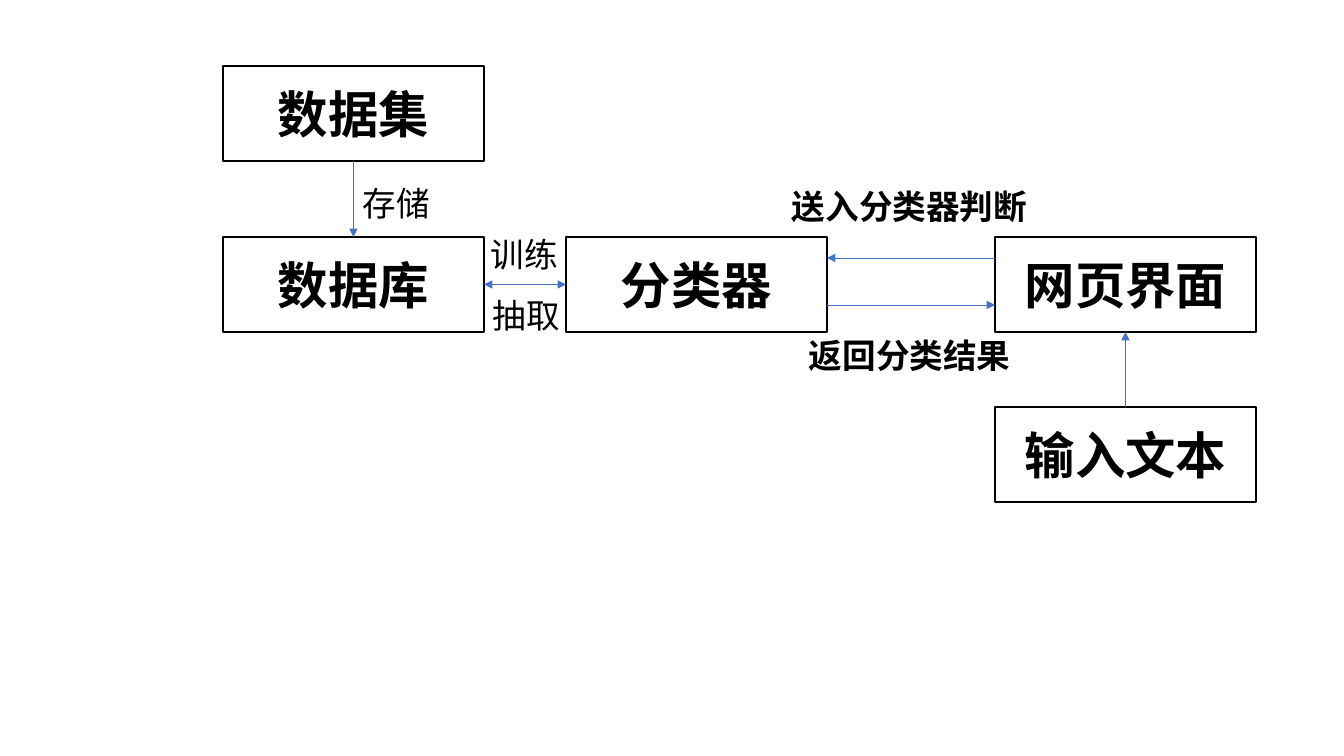
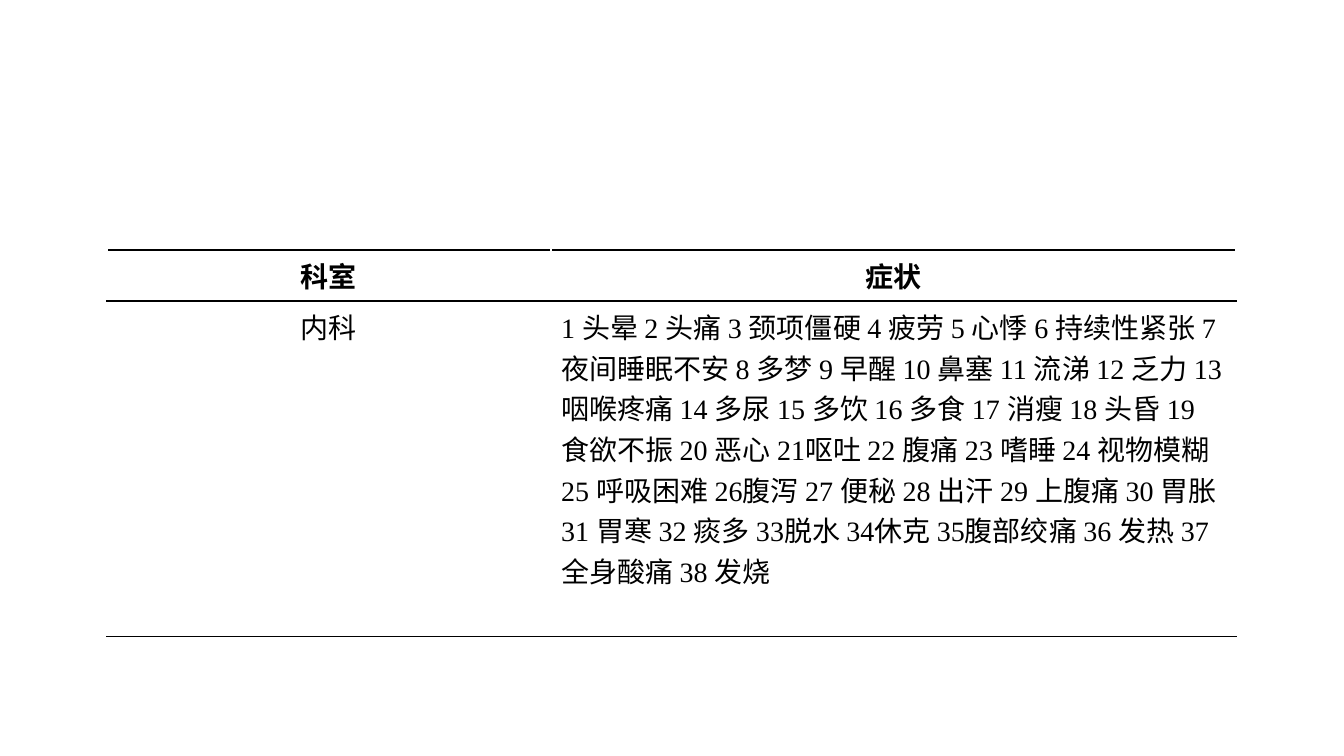
from dataclasses import dataclass

from lxml.etree import SubElement
from pptx import Presentation
from pptx.dml.color import RGBColor as Rgb
from pptx.enum.shapes import MSO_CONNECTOR as Connector, MSO_SHAPE as Shape
from pptx.enum.text import MSO_ANCHOR as Anchor, MSO_AUTO_SIZE as AutoSize, PP_ALIGN as Align
from pptx.oxml.ns import qn
from pptx.util import Emu, Pt

SCALE = 914400 / 100.8  # EMU per pixel
BLANK_LAYOUT = 6
TOP, LEFT, BOTTOM, RIGHT = range(4)  # connection sites of a box


@dataclass(frozen=True)
class Theme:
    ink: str = "000000"
    paper: str = "FFFFFF"
    arrow: str = "4472C4"
    cjk_font: str = "Noto Sans CJK SC"
    table_font: str = "Times New Roman"
    box_size: int = 36
    label_size: int = 24
    table_size: int = 20
    rule: float = 1
    arrow_width: float = 0.5


THEME = Theme()

BOX_WIDTH, BOX_HEIGHT = 261, 95
STORE_X, MODEL_X, WEB_X = 223, 566, 995
UPPER_Y, MIDDLE_Y, LOWER_Y = 66, 237, 407

BOXES = {
    "数据库": (STORE_X, MIDDLE_Y),
    "数据集": (STORE_X, UPPER_Y),
    "分类器": (MODEL_X, MIDDLE_Y),
    "网页界面": (WEB_X, MIDDLE_Y),
    "输入文本": (WEB_X, LOWER_Y),
}

# text, left, top, width, bold
LABELS = [
    ("存储", 353, 178, 89, False),
    ("训练", 481, 229, 89, False),
    ("抽取", 483, 290, 89, False),
    ("送入分类器判断", 782, 181, 258, True),
    ("返回分类结果", 799, 330, 224, True),
]
LABEL_HEIGHT = 50

TABLE_LEFT, TABLE_TOP = 107, 250
COLUMN_WIDTHS = [444, 685]
ROW_HEIGHTS = [51, 215]
SYMPTOMS = (
    "1 头晕 2 头痛 3 颈项僵硬 4 疲劳 5 心悸 6 持续性紧张 7 夜间睡眠不安 8 多梦 9 早醒 "
    "10 鼻塞 11 流涕 12 乏力 13 咽喉疼痛 14 多尿 15 多饮 16 多食 17 消瘦 18 头昏 "
    "19 食欲不振 20 恶心 21呕吐 22 腹痛 23 嗜睡 24 视物模糊 25 呼吸困难 26腹泻 27 便秘 "
    "28 出汗 29 上腹痛 30 胃胀 31 胃寒 32 痰多 33脱水 34休克 35腹部绞痛 36 发热 "
    "37 全身酸痛 38 发烧"
)
ROWS = [["科室", "症状"], ["内科", SYMPTOMS]]


def px(*lengths):
    return [Emu(round(length * SCALE)) for length in lengths]


def write(frame, text, *, size, font=THEME.cjk_font, bold=False, align=Align.LEFT):
    para = frame.paragraphs[0]
    para.alignment = align
    span = para.add_run()
    span.text = text
    span.font.size = Pt(size)
    span.font.bold = bold
    span.font.name = font
    span.font.color.rgb = Rgb.from_string(THEME.ink)
    SubElement(span.font._element, qn("a:ea"), typeface=THEME.cjk_font)


def add_box(page, text, left, top):
    box = page.shapes.add_shape(Shape.FLOWCHART_PROCESS, *px(left, top, BOX_WIDTH, BOX_HEIGHT))
    box.shadow.inherit = False
    box.fill.solid()
    box.fill.fore_color.rgb = Rgb.from_string(THEME.paper)
    box.line.color.rgb = Rgb.from_string(THEME.ink)
    box.line.width = Pt(THEME.rule)
    box.text_frame.vertical_anchor = Anchor.MIDDLE
    write(box.text_frame, text, size=THEME.box_size, bold=True, align=Align.CENTER)
    return box


def add_label(page, text, left, top, width, bold):
    frame = page.shapes.add_textbox(*px(left, top, width, LABEL_HEIGHT)).text_frame
    frame.word_wrap = False
    frame.auto_size = AutoSize.SHAPE_TO_FIT_TEXT
    write(frame, text, size=THEME.label_size, bold=bold)


def add_arrow(page, start=(0, 0), end=(0, 0), both_ends=False):
    arrow = page.shapes.add_connector(Connector.STRAIGHT, *px(*start, *end))
    arrow.line.color.rgb = Rgb.from_string(THEME.arrow)
    arrow.line.width = Pt(THEME.arrow_width)
    properties = arrow.element.spPr
    line = properties.find(qn("a:ln"))
    for end_tag in ["a:headEnd", "a:tailEnd"] if both_ends else ["a:tailEnd"]:
        SubElement(line, qn(end_tag), type="triangle")
    SubElement(properties, qn("a:effectLst"))
    return arrow


def link(page, source, source_site, target, target_site, both_ends=False):
    arrow = add_arrow(page, both_ends=both_ends)
    arrow.begin_connect(source, source_site)
    arrow.end_connect(target, target_site)


def rule_cell(cell):
    """Draw the rules above and below a cell."""
    properties = cell._tc.get_or_add_tcPr()
    for side in ("a:lnT", "a:lnB"):
        line = SubElement(properties, qn(side), w=str(Pt(THEME.rule)))
        fill = SubElement(line, qn("a:solidFill"))
        SubElement(fill, qn("a:srgbClr"), val=THEME.ink)


def add_ruled_table(page, rows):
    table = page.shapes.add_table(
        len(rows), len(rows[0]),
        *px(TABLE_LEFT, TABLE_TOP, sum(COLUMN_WIDTHS), sum(ROW_HEIGHTS)),
    ).table
    table.first_row = table.horz_banding = False
    for column, width in zip(table.columns, px(*COLUMN_WIDTHS)):
        column.width = width
    for row, height in zip(table.rows, px(*ROW_HEIGHTS)):
        row.height = height
    for r, texts in enumerate(rows):
        for c, text in enumerate(texts):
            cell = table.cell(r, c)
            rule_cell(cell)
            cell.fill.solid()
            cell.fill.fore_color.rgb = Rgb.from_string(THEME.paper)
            is_list = r > 0 and c > 0
            write(cell.text_frame, text, size=THEME.table_size, font=THEME.table_font,
                  bold=r == 0, align=Align.LEFT if is_list else Align.CENTER)


def build_flow(page):
    # Boxes
    boxes = {text: add_box(page, text, *place) for text, place in BOXES.items()}

    # Arrows between box sides
    link(page, boxes["数据集"], BOTTOM, boxes["数据库"], TOP)
    link(page, boxes["输入文本"], TOP, boxes["网页界面"], BOTTOM)
    link(page, boxes["数据库"], RIGHT, boxes["分类器"], LEFT, both_ends=True)

    # Request and reply
    model_edge = MODEL_X + BOX_WIDTH
    add_arrow(page, (WEB_X, 258), (model_edge, 258))
    add_arrow(page, (model_edge, 305), (WEB_X, 305))

    # Labels
    for label in LABELS:
        add_label(page, *label)


def main():
    deck = Presentation()
    deck.slide_width, deck.slide_height = px(1344, 756)
    layout = deck.slide_layouts[BLANK_LAYOUT]
    build_flow(deck.slides.add_slide(layout))
    add_ruled_table(deck.slides.add_slide(layout), ROWS)
    deck.save("out.pptx")


main()
